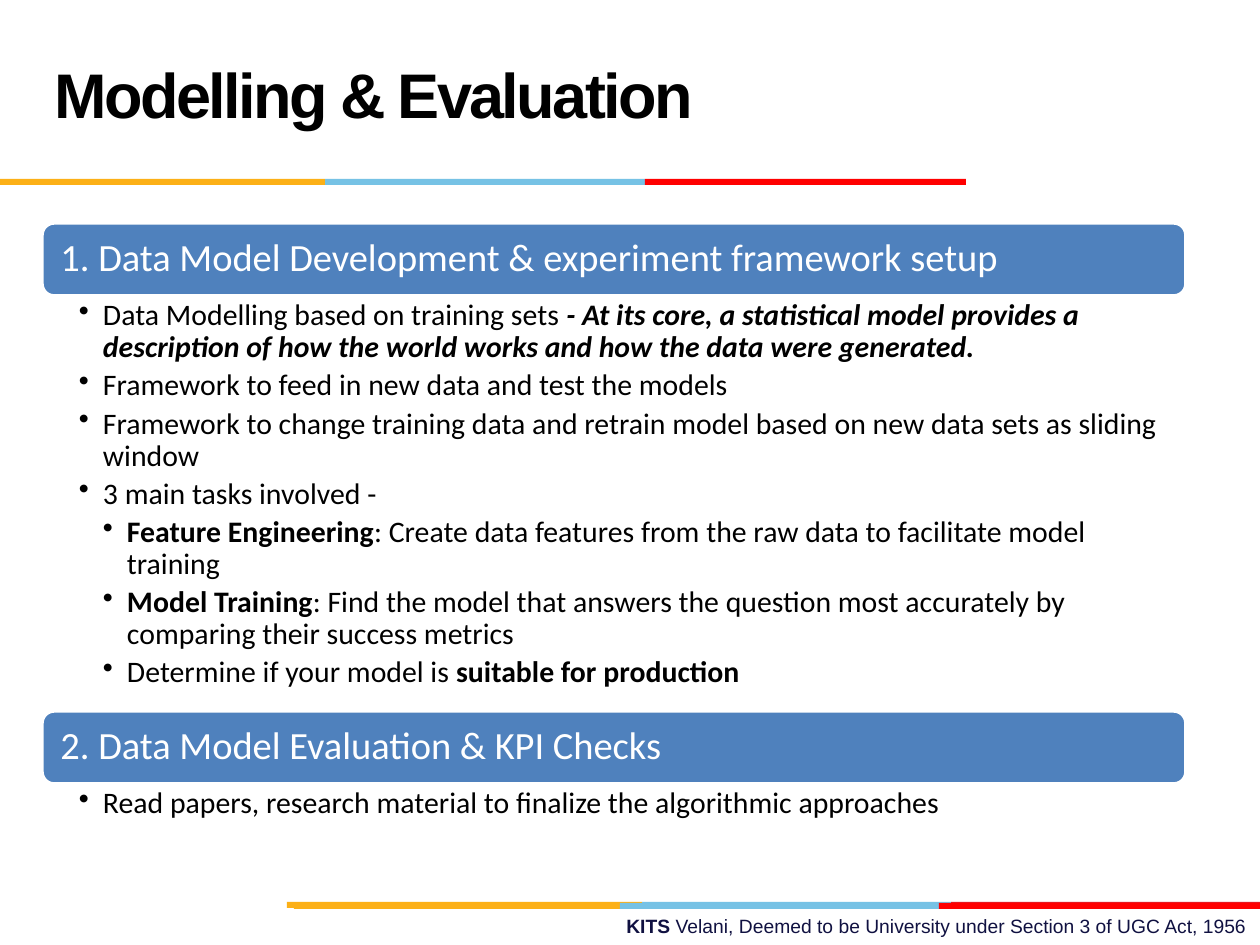
from itertools import pairwise

from lxml.etree import SubElement
from pptx import Presentation
from pptx.dml.color import RGBColor as Rgb
from pptx.enum.shapes import MSO_SHAPE as Preset
from pptx.enum.text import MSO_ANCHOR as Anchor, PP_ALIGN as Align
from pptx.oxml.ns import qn
from pptx.util import Emu, Pt

PX = 914400 / 126
COLORS = {"gold": "FCB017", "sky": "76C2E5", "red": "FF0000", "crimson": "E31C24",
          "heading": "4F81BD", "white": "FFFFFF", "black": "000000", "navy": "101141"}
PLAIN, BOLD, STRONG = {}, {"bold": True}, {"bold": True, "italic": True}
LEFT, WIDTH, HEADING_HEIGHT = 42, 1144, 73


def px(length):
    return Emu(round(length * PX))


class Deck:
    """Holds the style and the current slide, and adds each kind of element."""

    def __init__(self, width, height):
        self.deck = Presentation()
        self.deck.slide_width, self.deck.slide_height = px(width), px(height)
        self.slide = self.deck.slides.add_slide(self.deck.slide_layouts[6])

    def color(self, name):
        return Rgb.from_string(COLORS[name])

    def shape(self, preset, box, fill):
        shape = self.slide.shapes.add_shape(preset, *map(px, box))
        shape.shadow.inherit = False
        shape.fill.solid()
        shape.fill.fore_color.rgb = self.color(fill)
        shape.line.fill.background()
        return shape

    def strip(self, top, edges, fills):
        for (start, end), fill in zip(pairwise(edges), fills):
            self.shape(Preset.RECTANGLE, (start, top, end - start, 6), fill)

    def frame(self, shape, insets, anchor):
        frame = shape.text_frame
        values = dict(zip(("margin_left", "margin_top", "margin_right", "margin_bottom"),
                          map(px, insets)))
        for name, value in {**values, "word_wrap": True, "vertical_anchor": anchor}.items():
            setattr(frame, name, value)
        return frame

    def compose(self, paragraph, runs, font, size, color, layout):
        for name, value in layout.items():
            setattr(paragraph, name, value)
        for text, emphasis in runs:
            run = paragraph.add_run()
            run.text = text
            for name, value in {"name": font, "size": Pt(size), **emphasis}.items():
                setattr(run.font, name, value)
            run.font.color.rgb = self.color(color)

    def label(self, box, runs, size, color, anchor, layout, tracking=0):
        holder = self.slide.shapes.add_textbox(*map(px, box))
        paragraph = self.frame(holder, (13, 6, 13, 6), anchor).paragraphs[0]
        self.compose(paragraph, runs, "Arial", size, color, layout)
        for run in paragraph.runs:
            run.font._element.set("spc", str(tracking))

    def heading(self, top, text):
        banner = self.shape(Preset.ROUNDED_RECTANGLE,
                            (LEFT, top, WIDTH, HEADING_HEIGHT), "heading")
        banner.line.color.rgb = self.color("white")
        banner.line.width = Pt(2)
        paragraph = self.frame(banner, (15, 11, 15, 11), Anchor.MIDDLE).paragraphs[0]
        self.compose(paragraph, [(text, PLAIN)], "Calibri", 22, "white",
                     {"alignment": Align.LEFT, "line_spacing": 0.9})

    def bullets(self, top, height, items):
        holder = self.slide.shapes.add_textbox(*map(px, (LEFT, top, WIDTH, height)))
        frame = self.frame(holder, (37, 4, 21, 4), Anchor.TOP)
        for index, (level, runs) in enumerate(items):
            paragraph = frame.add_paragraph() if index else frame.paragraphs[0]
            self.compose(paragraph, runs, "Calibri", 17, "black",
                         {"level": level, "line_spacing": 0.9, "space_after": Pt(3.4)})
            properties = paragraph._p.get_or_add_pPr()
            properties.set("marL", str(px(24 * level)))
            properties.set("indent", str(px(-24)))
            SubElement(properties, qn("a:buChar")).set("char", "•")


def main():
    slide = Deck(1260, 945)
    slide.label((451, 908, 809, 37),
                [("KITS ", BOLD),
                 ("Velani, Deemed to be University under Section 3 of UGC Act, 1956", PLAIN)],
                11, "navy", Anchor.TOP, {"alignment": Align.RIGHT})
    slide.strip(902, (287, 642, 951, 1260), ("gold", "sky", "crimson"))
    slide.strip(903, (294, 620, 939, 1260), ("gold", "sky", "red"))
    slide.strip(179, (0, 325, 645, 966), ("gold", "sky", "red"))
    slide.label((42, 21, 872, 158), [("Modelling & Evaluation", BOLD)],
                36, "black", Anchor.MIDDLE, {"line_spacing": Pt(36)}, tracking=-150)

    slide.heading(223, "1. Data Model Development & experiment framework setup")
    slide.bullets(296, 415, [
        (1, [("Data Modelling based on training sets ", PLAIN),
             ("- At its core, a statistical model provides a description of how the world "
              "works and how the data were generated.", STRONG)]),
        (1, [("Framework to feed in new data and test the models", PLAIN)]),
        (1, [("Framework to change training data and retrain model based on new data sets "
              "as sliding window", PLAIN)]),
        (1, [("3 main tasks involved -", PLAIN)]),
        (2, [("Feature Engineering", BOLD),
             (": Create data features from the raw data to facilitate model training", PLAIN)]),
        (2, [("Model Training", BOLD),
             (": Find the model that answers the question most accurately by comparing "
              "their success metrics", PLAIN)]),
        (2, [("Determine if your model is ", PLAIN), ("suitable for production", BOLD)]),
    ])
    slide.heading(711, "2. Data Model Evaluation & KPI Checks")
    slide.bullets(784, 50, [
        (1, [("Read papers, research material to finalize the algorithmic approaches", PLAIN)]),
    ])
    slide.deck.save("out.pptx")


if __name__ == "__main__":
    main()
